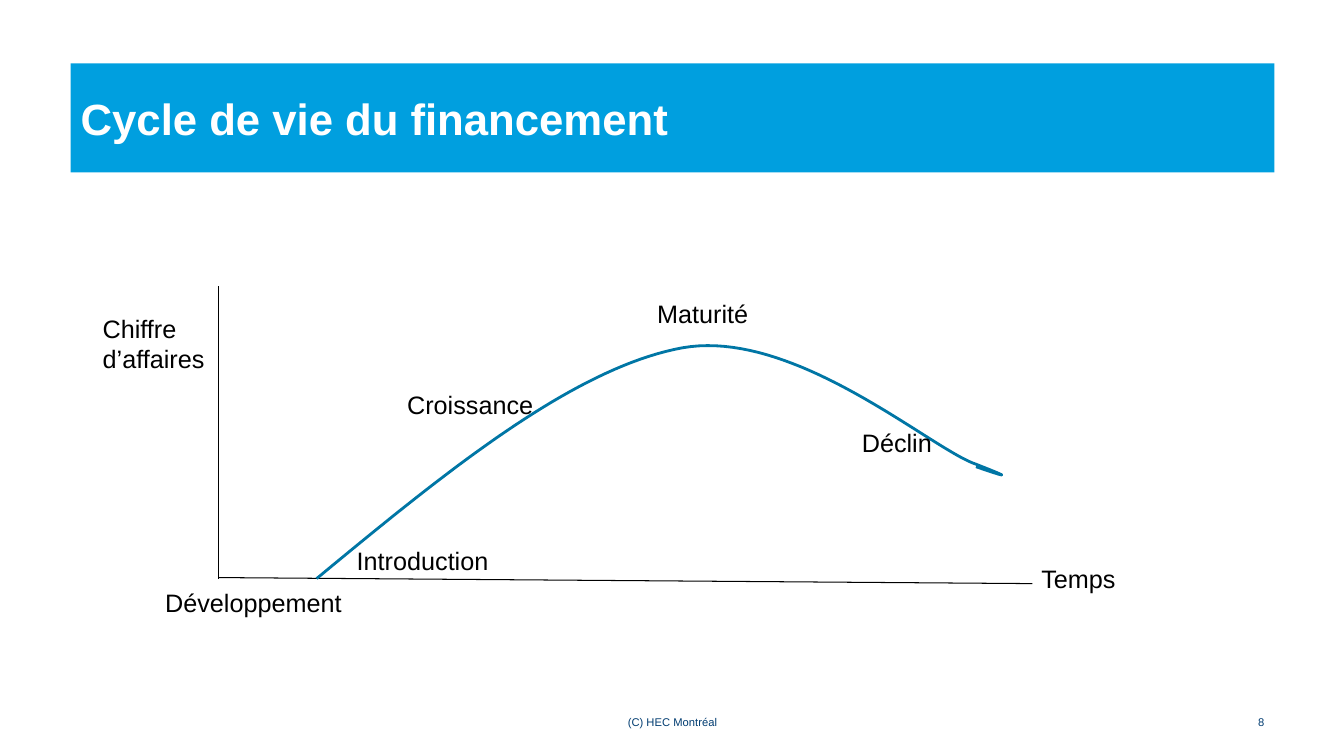
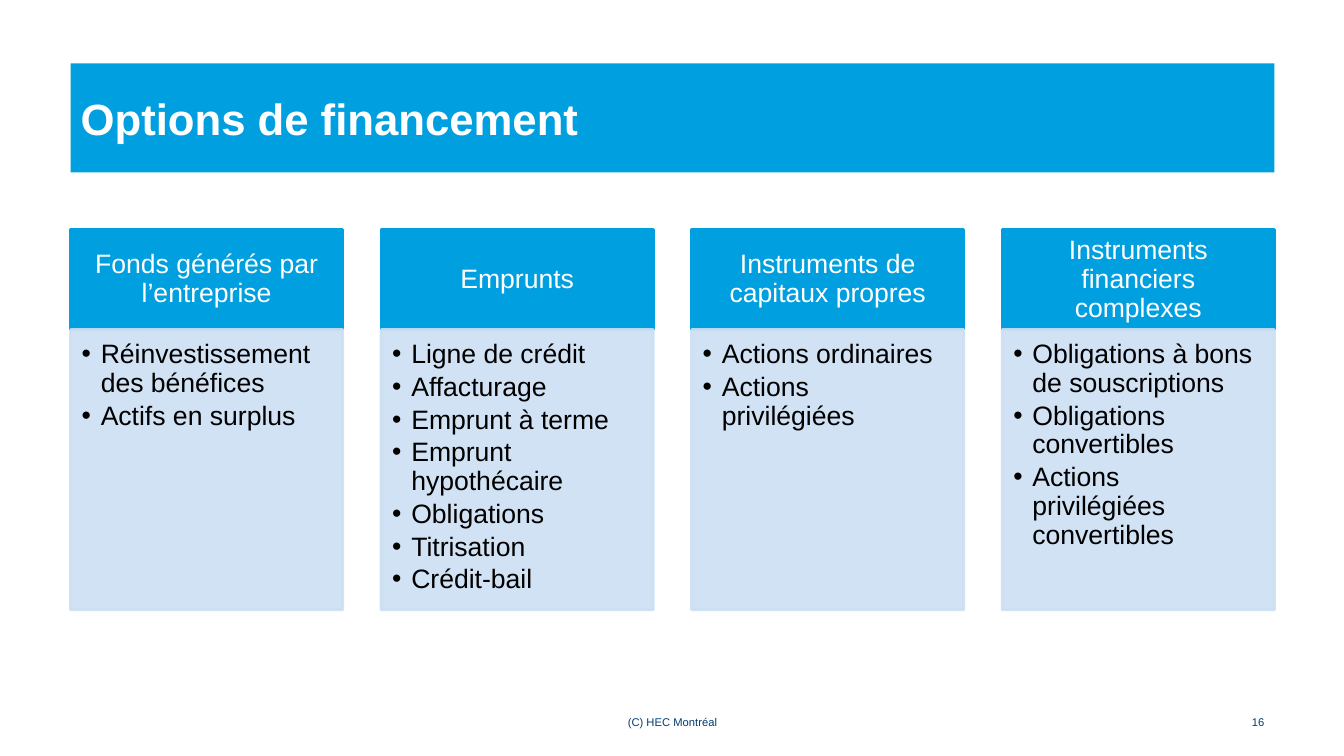
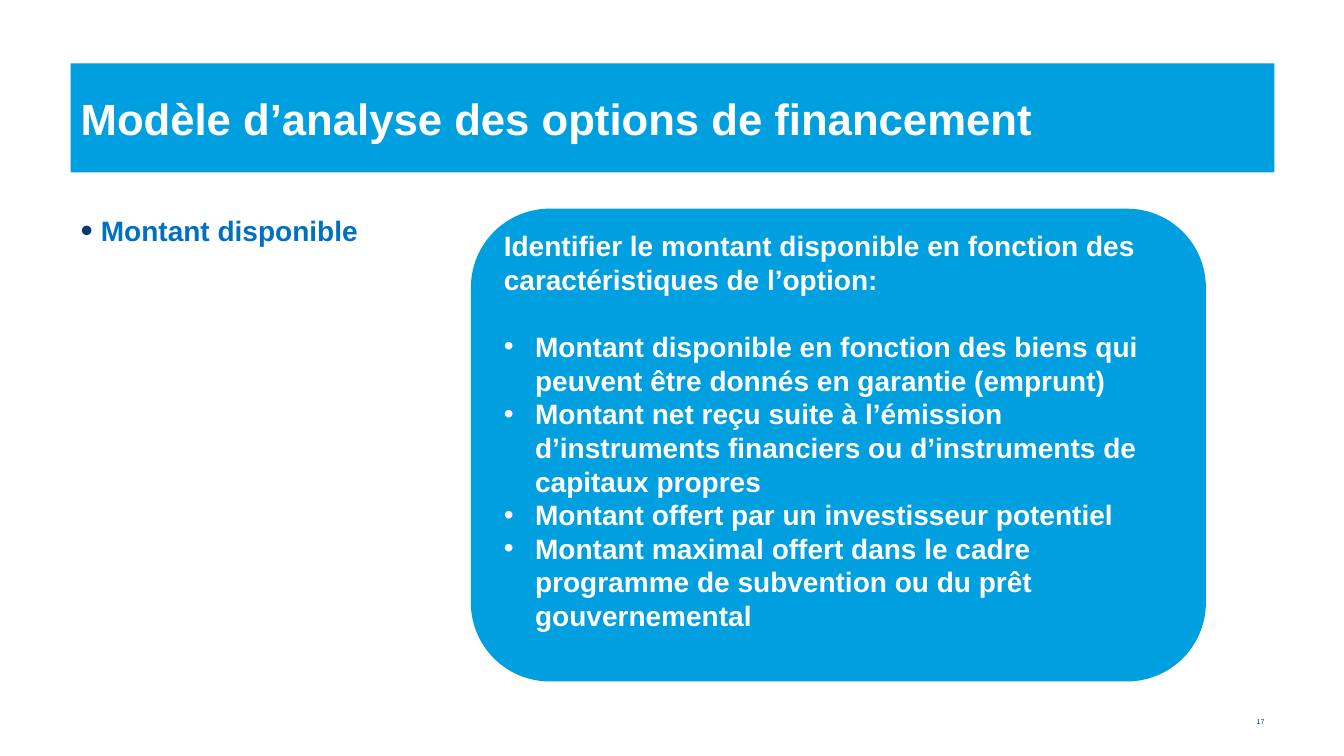
from dataclasses import dataclass

from lxml import etree
from pptx import Presentation
from pptx.dml.color import RGBColor
from pptx.enum import shapes, text
from pptx.oxml import ns
from pptx.util import Inches, Pt


@dataclass(frozen=True)
class Theme:
    font: str = "Arial"
    white: str = "FFFFFF"
    black: str = "000000"
    blue: str = "009FDF"
    pale: str = "CCDFF3"
    navy: str = "003C71"
    curve: str = "0076A5"
    accent: str = "0070C0"
    title: float = 31.2
    body: float = 20
    card: float = 19
    label: float = 18
    footer: float = 8
    small: float = 5


THEME = Theme()
LEFT, WIDTH = 0.7, 11.94
TITLE_AREA = (LEFT, 0.63, WIDTH, 1.08)
BODY_AREA = (LEFT, 2.07, WIDTH, 4.18)
FOOTER_AREA = (4.56, 7.07, 4.22, 0.18)
NUMBER_AREA = (11.96, 7.07, 0.68, 0.18)
FOOTER = "(C) HEC Montréal"
ALIGN, ANCHOR = text.PP_ALIGN, text.MSO_ANCHOR

CYCLE_TITLE = "Cycle de vie du financement"
AXES = [((2.17, 2.84), (2.17, 5.74)), ((2.17, 5.73), (10.24, 5.79))]
CURVE_START = (3.14, 5.74)
CURVE = [
    ((4.41, 4.69), (5.68, 3.65), (6.77, 3.45)),
    ((7.85, 3.26), (9.16, 4.39), (9.64, 4.59)),
    ((10.13, 4.78), (9.91, 4.71), (9.68, 4.63)),
]
CURVE_STEPS = 40
LABELS = [
    ("Chiffre d’affaires", (0.92, 3.06, 1.26, 1.01)),
    ("Temps", (10.23, 5.54, 1.97, 0.4)),
    ("Introduction", (3.44, 5.36, 2.76, 0.4)),
    ("Croissance", (3.94, 3.81, 2.76, 0.4)),
    ("Maturité", (6.42, 2.91, 2.76, 0.4)),
    ("Déclin", (8.45, 4.19, 2.76, 0.4)),
    ("Développement", (1.54, 5.78, 2.3, 0.4)),
]

OPTIONS_TITLE = "Options de financement"
CARD_TOP, CARD_WIDTH, HEAD_HEIGHT, LIST_HEIGHT = 2.28, 2.7, 0.99, 2.78
OPTIONS = [
    ("Fonds générés par l’entreprise",
     ["Réinvestissement des bénéfices", "Actifs en surplus"]),
    ("Emprunts",
     ["Ligne de crédit", "Affacturage", "Emprunt à terme", "Emprunt hypothécaire",
      "Obligations", "Titrisation", "Crédit-bail"]),
    ("Instruments de capitaux propres",
     ["Actions ordinaires", "Actions privilégiées"]),
    ("Instruments financiers complexes",
     ["Obligations à bons de souscriptions", "Obligations convertibles",
      "Actions privilégiées convertibles"]),
]

MODEL_TITLE = "Modèle d’analyse des options de financement"
CRITERION = "Montant disponible"
PANEL_AREA = (4.67, 2.07, 7.29, 4.69)
PANEL_INTRO = "Identifier le montant disponible en fonction des caractéristiques de l’option:"
PANEL_POINTS = [
    "Montant disponible en fonction des biens qui peuvent être donnés en garantie (emprunt)",
    "Montant net reçu suite à l’émission d’instruments financiers ou d’instruments de capitaux propres",
    "Montant offert par un investisseur potentiel",
    "Montant maximal offert dans le cadre programme de subvention ou du prêt gouvernemental",
]


def apply(target, values):
    for name, value in values.items():
        setattr(target, name, value)


def inches(values):
    return [Inches(value) for value in values]


def place(shape, area):
    apply(shape, dict(zip(("left", "top", "width", "height"), inches(area))))


def child(parent, tag, **attributes):
    return etree.SubElement(parent, ns.qn(tag), attributes)


def add_bullet(para, indent, color=None, percent=None):
    props = para._p.get_or_add_pPr()
    props.set("marL", str(Inches(indent)))
    props.set("indent", str(-Inches(indent)))
    if color:
        child(child(props, "a:buClr"), "a:srgbClr", val=color)
    if percent:
        child(props, "a:buSzPct", val=str(percent * 1000))
    child(props, "a:buFont", typeface=THEME.font)
    child(props, "a:buChar", char="•")


def write(shape, lines, size, color, bold=False, align=ALIGN.LEFT,
          anchor=ANCHOR.TOP, insets=(0.1, 0.05, 0.1, 0.05), bullet=None, **spacing):
    frame = shape.text_frame
    apply(frame, {"word_wrap": True, "auto_size": text.MSO_AUTO_SIZE.NONE,
                  "vertical_anchor": anchor})
    sides = ("margin_left", "margin_top", "margin_right", "margin_bottom")
    apply(frame, dict(zip(sides, inches(insets))))
    for index, line in enumerate(lines):
        para = frame.add_paragraph() if index else frame.paragraphs[0]
        if bullet:
            add_bullet(para, **bullet)
        apply(para, {"alignment": align, "space_before": Pt(0), **spacing})
        span = para.add_run()
        span.text = line
        apply(span.font, {"name": THEME.font, "size": Pt(size), "bold": bold})
        span.font.color.rgb = RGBColor.from_string(color)
    return frame


def add_text(page, area, line, size, color, **options):
    box = page.shapes.add_textbox(*inches(area))
    write(box, [line], size, color, **options)


def paint(paintable, color, alpha=None):
    paintable.solid()
    paintable.fore_color.rgb = RGBColor.from_string(color)
    if alpha:
        tint = paintable._xPr.find(ns.qn("a:solidFill"))[0]
        child(tint, "a:alpha", val=str(alpha * 1000))


def add_block(page, kind, area, color, border=None, alpha=None):
    block = page.shapes.add_shape(kind, *inches(area))
    block.shadow.inherit = False
    paint(block.fill, color, alpha)
    if border:
        block.line.width = Pt(border)
        paint(block.line.fill, color, alpha)
    else:
        block.line.fill.background()
    return block


def add_page(deck, layout, title, number, footer=FOOTER, number_size=THEME.footer):
    page = deck.slides.add_slide(deck.slide_layouts[layout])
    band = page.shapes.title
    place(band, TITLE_AREA)
    paint(band.fill, THEME.blue)
    write(band, [title], THEME.title, THEME.white, bold=True, anchor=ANCHOR.MIDDLE)
    style = {"color": THEME.navy, "anchor": ANCHOR.MIDDLE, "insets": (0.1, 0, 0.1, 0)}
    if footer:
        add_text(page, FOOTER_AREA, footer, THEME.footer, align=ALIGN.CENTER, **style)
    add_text(page, NUMBER_AREA, str(number), number_size, align=ALIGN.RIGHT, **style)
    return page


def curve_points():
    start = CURVE_START
    for first, second, end in CURVE:
        for step in range(1, CURVE_STEPS + 1):
            t = step / CURVE_STEPS
            u = 1 - t
            yield tuple(
                Inches(u**3 * a + 3 * u * u * t * b + 3 * u * t * t * c + t**3 * d)
                for a, b, c, d in zip(start, first, second, end))
        start = end


def build_cycle(deck):
    page = add_page(deck, 5, CYCLE_TITLE, 8)
    for start, end in AXES:
        axis = page.shapes.add_connector(
            shapes.MSO_CONNECTOR.STRAIGHT, *inches(start + end))
        axis.line.width = Pt(0.75)
        paint(axis.line.fill, THEME.black)
        child(axis._element.spPr, "a:effectLst")
    outline = page.shapes.build_freeform(*inches(CURVE_START))
    outline.add_line_segments(list(curve_points()), close=False)
    curve = outline.convert_to_shape()
    curve.shadow.inherit = False
    curve.fill.background()
    curve.line.width = Pt(2)
    paint(curve.line.fill, THEME.curve)
    for label, area in LABELS:
        add_text(page, area, label, THEME.label, THEME.black)


def build_options(deck):
    page = add_page(deck, 5, OPTIONS_TITLE, 16)
    pitch = (WIDTH - CARD_WIDTH) / (len(OPTIONS) - 1)
    rectangle = shapes.MSO_SHAPE.RECTANGLE
    for index, (heading, items) in enumerate(OPTIONS):
        left = LEFT + index * pitch
        head = add_block(page, rectangle, (left, CARD_TOP, CARD_WIDTH, HEAD_HEIGHT),
                         THEME.blue, border=2)
        write(head, [heading], THEME.card, THEME.white, align=ALIGN.CENTER,
              anchor=ANCHOR.MIDDLE, insets=(0.15, 0.08, 0.15, 0.08), line_spacing=0.9)
        listing = add_block(
            page, rectangle, (left, CARD_TOP + HEAD_HEIGHT, CARD_WIDTH, LIST_HEIGHT),
            THEME.pale, border=2, alpha=90)
        write(listing, items, THEME.card, THEME.black, insets=(0.11, 0.11, 0.15, 0.17),
              bullet={"indent": 0.19}, line_spacing=0.9, space_after=Pt(2.85))


def build_model(deck):
    page = add_page(deck, 1, MODEL_TITLE, 17, footer=None, number_size=THEME.small)
    body = page.placeholders[1]
    place(body, BODY_AREA)
    write(body, [CRITERION], THEME.body, THEME.accent, bold=True,
          bullet={"indent": 0.2, "color": THEME.navy, "percent": 125})
    panel = add_block(page, shapes.MSO_SHAPE.ROUNDED_RECTANGLE, PANEL_AREA, THEME.blue)
    frame = write(panel, [PANEL_INTRO, *PANEL_POINTS], THEME.body, THEME.white, bold=True,
                  anchor=ANCHOR.MIDDLE, insets=(0.1, 0.05, 0.1, 0.34))
    for para in frame.paragraphs[1:]:
        add_bullet(para, 0.31)
    frame.paragraphs[1].space_before = Pt(24)


def main():
    deck = Presentation()
    deck.slide_width, deck.slide_height = inches((13.33, 7.5))
    for build in (build_cycle, build_options, build_model):
        build(deck)
    deck.save("out.pptx")


if __name__ == "__main__":
    main()
